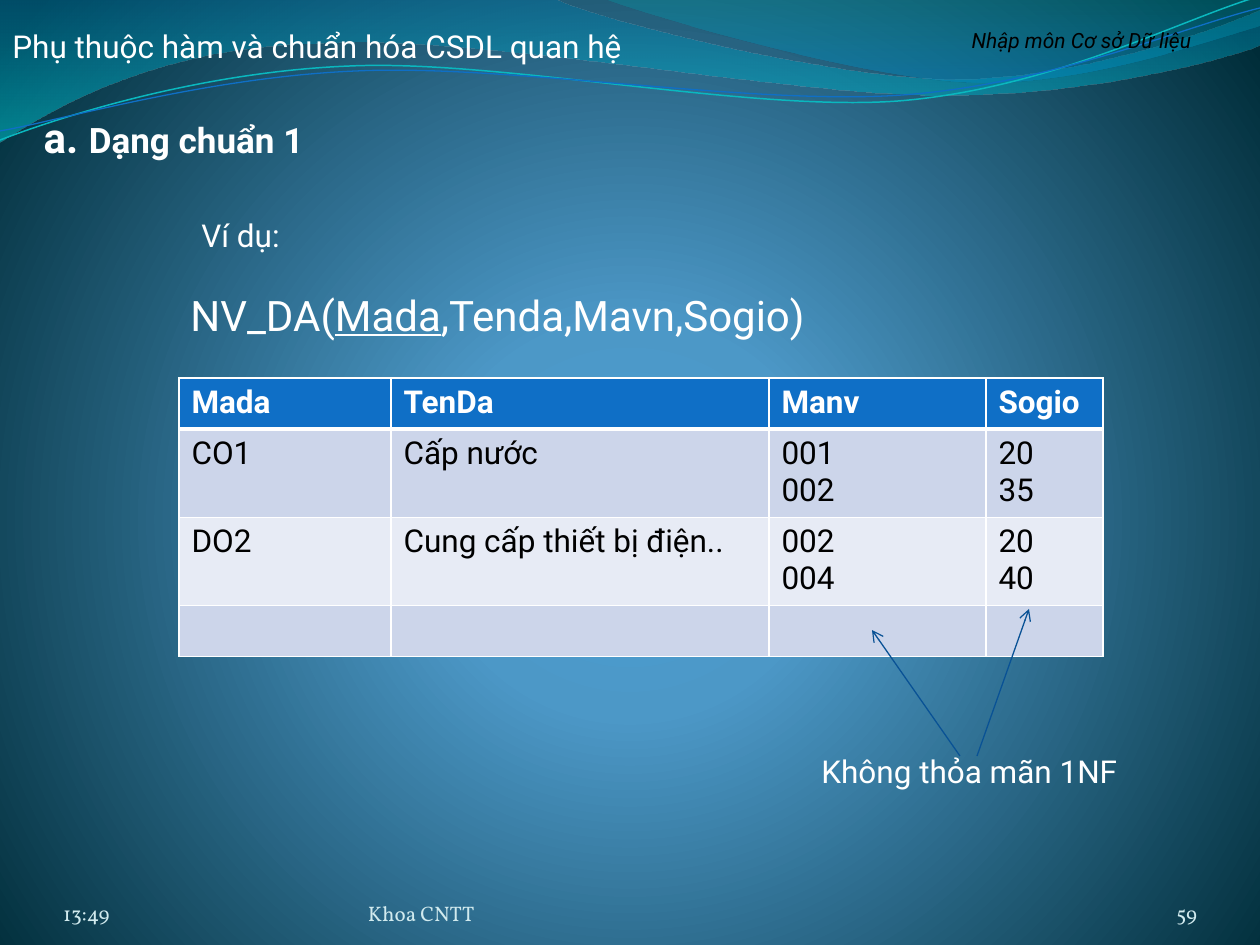
from lxml.etree import SubElement
from pptx import Presentation
from pptx.dml.color import RGBColor
from pptx.enum.shapes import MSO_CONNECTOR
from pptx.enum.text import MSO_ANCHOR as Anchor, PP_ALIGN as Align
from pptx.oxml.ns import qn
from pptx.util import Pt

SCALE = 914400 / 126
COLORS = {
    "white": "FFFFFF", "black": "000000", "footer": "D1EAEE",
    "header": "0F6FC6", "band": "CCD5EA", "light_band": "E7EBF5",
    "arrow": "095295", "teal_line": "0AB8BF",
    "glow": "4AA0D6", "sky": "4C98C7", "night": "002C38",
    "wave_blue": "0074A1", "wave_teal": "00C6CF",
    "crest_teal": "00A1A9", "crest_blue": "008BBF",
}


def px(length):
    return round(length * SCALE)


def color(name):
    return RGBColor.from_string(COLORS[name])


def add_stops(gradient, stops):
    stop_list = gradient.find(qn("a:gsLst"))
    for old_stop in list(stop_list):
        stop_list.remove(old_stop)
    for position, name, opacity in stops:
        stop = SubElement(stop_list, qn("a:gs"), pos=str(position * 1000))
        shade = SubElement(stop, qn("a:srgbClr"), val=COLORS[name])
        if opacity < 100:
            SubElement(shade, qn("a:alpha"), val=str(opacity * 1000))


def paint_background(page):
    page.background.fill.gradient()
    gradient = page.element.xpath(".//p:bgPr/a:gradFill")[0]
    add_stops(gradient, [(0, "glow", 100), (25, "sky", 100), (100, "night", 100)])
    gradient.remove(gradient.find(qn("a:lin")))
    circle = SubElement(gradient, qn("a:path"), path="circle")
    SubElement(circle, qn("a:fillToRect"), l="10000", t="110000", r="10000", b="100000")


def add_outline(page, box, start, segments, closed):
    left, top = box
    builder = page.shapes.build_freeform(px(left + start[0]), px(top + start[1]))
    points = [(px(left + x), px(top + y))
              for segment in segments for x, y in zip(segment[::2], segment[1::2])]
    builder.add_line_segments(points, close=closed)
    shape = builder.convert_to_shape()
    shape.shadow.inherit = False
    corners = iter(shape.element.xpath(".//a:lnTo"))
    for segment in segments:
        first = next(corners)
        if len(segment) == 6:
            bezier = first.makeelement(qn("a:cubicBezTo"), {})
            first.addprevious(bezier)
            for corner in (first, next(corners), next(corners)):
                bezier.append(corner[0])
                corner.getparent().remove(corner)
    return shape


def add_waves(page, box):
    wave = [
        (554, -1), (600, 21, 837, 79, 955, 79), (1075, 79, 1207, 33, 1260, 11),
        (1261, 45), (1239, 55, 1096, 96, 940, 95), (784, 95, 481, 35, 324, 43),
        (163, 45, 58, 105, -1, 142),
    ]
    crest = [
        (641, 14, 859, 78, 969, 82), (1079, 87, 1211, 40, 1260, 26), (1260, 0),
    ]
    fills = [
        ((0, 0), wave, [(0, "wave_blue", 45), (100, "wave_teal", 55)]),
        ((604, -1), crest, [(0, "crest_teal", 30), (80, "crest_blue", 45)]),
    ]
    for start, segments, stops in fills:
        shape = add_outline(page, box, start, segments, True)
        shape.fill.gradient()
        shape.fill.gradient_angle = 270
        add_stops(shape.element.xpath(".//a:gradFill")[0], stops)
        shape.line.fill.background()

    teal = [(60, 117, 199, 72, 349, 66), (498, 59, 747, 112, 898, 101),
            (1050, 89, 1182, 19, 1257, -3)]
    blue = [(59, 121, 207, 77, 357, 71), (508, 64, 752, 106, 903, 95),
            (1053, 84, 1186, 26, 1260, 8)]
    for start, segments, name, width in [
            ((0, 140), teal, "teal_line", 0.85), ((0, 131), blue, "header", 0.75)]:
        shape = add_outline(page, box, start, segments, False)
        shape.fill.background()
        shape.line.color.rgb = color(name)
        shape.line.width = Pt(width)


def style(para, size, name="white", font="Roboto", align=Align.LEFT, bold=False, italic=False):
    para.alignment = align
    para.font.name = font
    para.font.size = Pt(size)
    para.font.bold = bold
    para.font.italic = italic
    para.font.color.rgb = color(name)


def add_label(page, box, text, size=18, wrap=False, **look):
    label = page.shapes.add_textbox(*map(px, box))
    frame = label.text_frame
    frame.word_wrap = wrap
    para = frame.paragraphs[0]
    para.text = text
    style(para, size, **look)
    return frame


def add_heading(page, box):
    title = page.shapes.title
    title.left, title.top, title.width, title.height = map(px, box)
    frame = title.text_frame
    frame.vertical_anchor = Anchor.TOP
    para = frame.paragraphs[0]
    for text, size in [("a. ", 24), ("Dạng chuẩn 1", 20)]:
        span = para.add_run()
        span.text = text
        span.font.size = Pt(size)
    style(para, 20, bold=True)


def add_relation(page, box):
    frame = add_label(page, box, "", 24)
    para = frame.paragraphs[0]
    for text in ("NV_DA(", "Mada", ",Tenda,Mavn,Sogio)"):
        span = para.add_run()
        span.text = text
        span.font.underline = text == "Mada"


def add_footer(page, box):
    left, top, height = box
    parts = [
        (0, 294, "13:49", Align.LEFT),
        (305, 462, "Khoa CNTT", Align.LEFT),
        (1029, 105, "59", Align.RIGHT),
    ]
    for offset, width, text, align in parts:
        frame = add_label(page, (left + offset, top, width, height), text, 12, True,
                          name="footer", font="Vollkorn", align=align)
        frame.vertical_anchor = Anchor.BOTTOM
        frame.margin_left = frame.margin_right = frame.margin_top = frame.margin_bottom = 0


def set_borders(cell, bottom):
    properties = cell._tc.get_or_add_tcPr()
    for index, (side, width) in enumerate([("L", 1), ("R", 1), ("T", 1), ("B", bottom)]):
        border = properties.makeelement(qn(f"a:ln{side}"), {"w": str(Pt(width))})
        fill = SubElement(border, qn("a:solidFill"))
        SubElement(fill, qn("a:srgbClr"), val=COLORS["white"])
        properties.insert(index, border)


def add_project_table(page, box):
    rows = [
        ("Mada", "TenDa", "Manv", "Sogio"),
        ("CO1", "Cấp nước", "001\n002", "20\n35"),
        ("DO2", "Cung cấp thiết bị điện..", "002\n004", "20\n40"),
        ("", "", "", ""),
    ]
    fills = ("header", "band", "light_band", "band")
    table = page.shapes.add_table(4, 4, *map(px, box)).table
    for column, width in zip(table.columns, (212, 378, 217, 117)):
        column.width = px(width)
    for row, height in zip(table.rows, (51, 88, 88, 51)):
        row.height = px(height)
    for index, (texts, fill) in enumerate(zip(rows, fills)):
        header = index == 0
        for cell, text in zip(table.rows[index].cells, texts):
            cell.text = text
            cell.fill.solid()
            cell.fill.fore_color.rgb = color(fill)
            set_borders(cell, 3 if header else 1)
            for para in cell.text_frame.paragraphs:
                style(para, 18, "white" if header else "black", bold=header)


def add_remark(page, box):
    left, top, width, height = box
    add_label(page, box, "Không thỏa mãn 1NF")
    for start_x, end_x, end_y in [(168, 220, -137), (151, 63, -116)]:
        arrow = page.shapes.add_connector(
            MSO_CONNECTOR.STRAIGHT, px(left + start_x), px(top + 10),
            px(left + end_x), px(top + end_y))
        arrow.line.color.rgb = color("arrow")
        arrow.line.width = Pt(0.75)
        SubElement(arrow.line._get_or_add_ln(), qn("a:tailEnd"), type="arrow")
        SubElement(arrow.element.spPr, qn("a:effectLst"))


def main():
    deck = Presentation()
    deck.slide_width, deck.slide_height = px(1260), px(945)
    page = deck.slides.add_slide(deck.slide_layouts[5])
    paint_background(page)
    add_waves(page, (0, 0))
    add_label(page, (903, 21, 357, 38), "Nhập môn Cơ sở Dữ liệu", 12, True,
              name="black", align=Align.CENTER, italic=True)
    add_label(page, (0, 21, 644, 50), "Phụ thuộc hàm và chuẩn hóa CSDL quan hệ")
    add_footer(page, (63, 876, 50))
    add_heading(page, (31, 105, 1155, 63))
    add_project_table(page, (179, 378, 924, 278))
    add_label(page, (189, 210, 152, 50), "Ví dụ:")
    add_remark(page, (809, 746, 322, 50))
    add_relation(page, (178, 283, 643, 63))
    deck.save("out.pptx")


if __name__ == "__main__":
    main()
